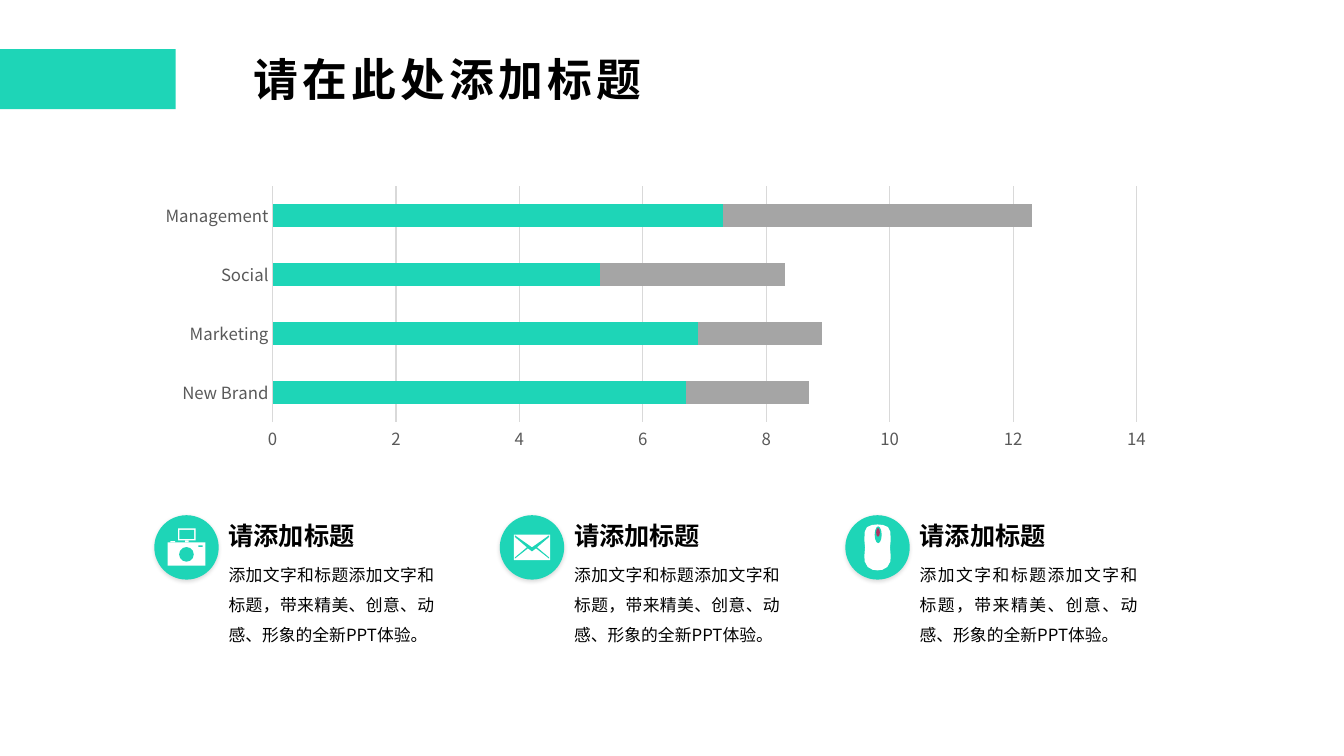
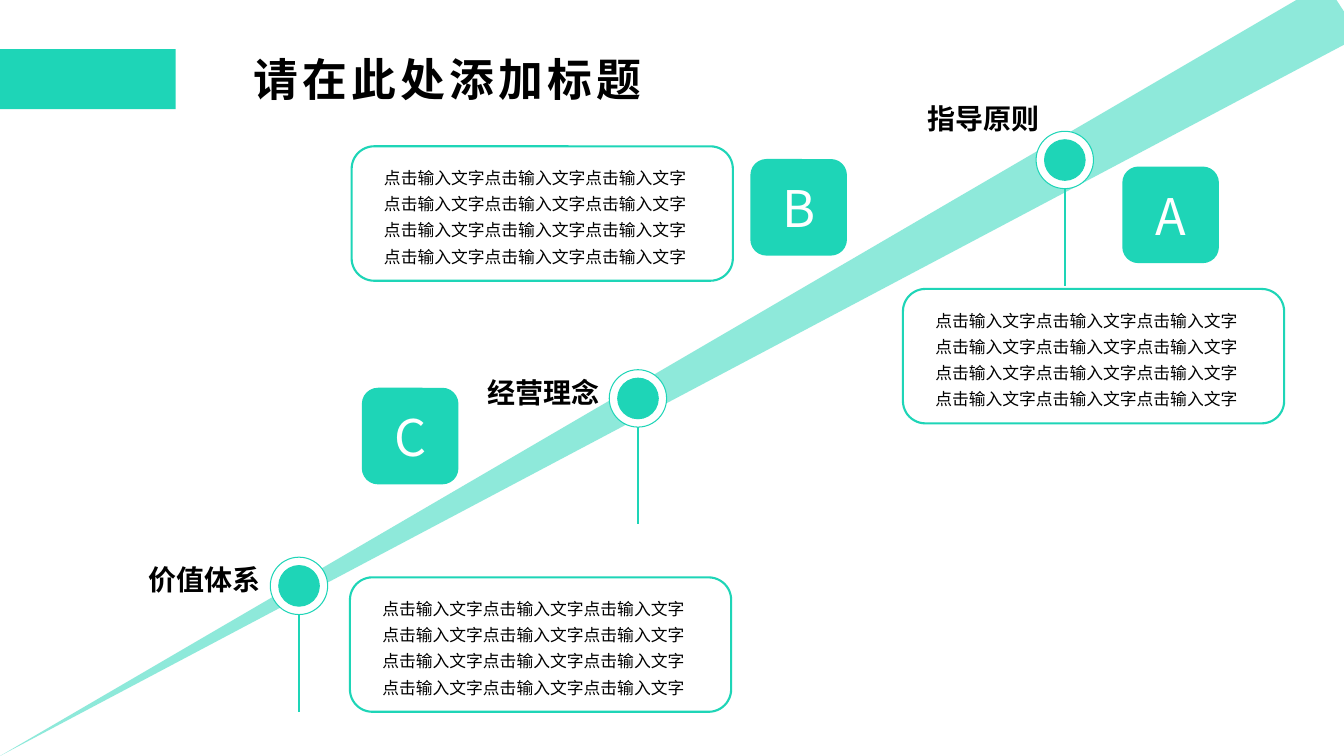
from dataclasses import dataclass

from lxml import etree
from pptx import Presentation, util as u
from pptx.chart import data as chart_data
from pptx.dml import color
from pptx.enum import chart as chart_enum, shapes, text
from pptx.oxml import ns

Pt = u.Pt
KIND = shapes.MSO_SHAPE
ALIGN = text.PP_ALIGN
ANCHOR = text.MSO_ANCHOR


@dataclass(frozen=True)
class Theme:
    accent: str = "1ED5B7"
    berry: str = "B03262"
    white: str = "FFFFFF"
    black: str = "000000"
    grey_bar: str = "A5A5A5"
    grid: str = "D9D9D9"
    axis_text: str = "595959"
    font: str = "Noto Sans CJK SC"
    label_font: str = "Arial"
    title_size: int = 32
    badge_size: int = 36
    label_size: int = 20
    heading_size: int = 18
    body_size: int = 12


THEME = Theme()


def rgb(value):
    return color.RGBColor.from_string(value)


def add_xml(parent, tag, **attributes):
    return etree.SubElement(parent, ns.qn(tag), attributes)


# Basic elements

def paint(shape, fill=None, line=None, weight=0.75):
    shape.shadow.inherit = False
    if fill:
        shape.fill.solid()
        shape.fill.fore_color.rgb = rgb(fill)
    else:
        shape.fill.background()
    if line:
        shape.line.color.rgb = rgb(line)
        shape.line.width = Pt(weight)
    else:
        shape.line.fill.background()
    return shape


def add_block(canvas, kind, left, top, width, height, **look):
    shape = canvas.add_shape(kind, Pt(left), Pt(top), Pt(width), Pt(height))
    return paint(shape, **look)


def add_disc(canvas, x, y, diameter, **look):
    return add_block(canvas, KIND.OVAL, x - diameter / 2, y - diameter / 2,
                     diameter, diameter, **look)


def add_outline(canvas, points, fill):
    corners = [(Pt(x), Pt(y)) for x, y in points]
    builder = canvas.build_freeform(*corners[0])
    builder.add_line_segments(corners[1:], close=True)
    return paint(builder.convert_to_shape(), fill)


def write(shape, words, size, ink=THEME.black, font=THEME.font, bold=False,
          align=ALIGN.LEFT, anchor=ANCHOR.TOP, leading=None, tracking=None):
    frame = shape.text_frame
    frame.text = words
    frame.vertical_anchor = anchor
    para = frame.paragraphs[0]
    para.alignment = align
    if leading:
        para.line_spacing = leading
    span = para.runs[0]
    span.font.size = Pt(size)
    span.font.bold = bold
    span.font.name = font
    span.font.color.rgb = rgb(ink)
    properties = span._r.get_or_add_rPr()
    add_xml(properties, "a:ea", typeface=THEME.font)
    if tracking:
        properties.set("spc", str(tracking * 100))


def add_words(page, left, top, width, height, words, size, wrap=True, **style):
    box = page.shapes.add_textbox(Pt(left), Pt(top), Pt(width), Pt(height))
    write(box, words, size, **style)
    box.text_frame.word_wrap = wrap
    box.text_frame.auto_size = text.MSO_AUTO_SIZE.SHAPE_TO_FIT_TEXT


def add_page(deck, title):
    page = deck.slides.add_slide(deck.slide_layouts[6])
    add_block(page.shapes, KIND.RECTANGLE, 0, 35, 125.5, 43, fill=THEME.accent)
    box = page.shapes.add_textbox(Pt(174), Pt(34), Pt(355), Pt(44))
    box.text_frame.word_wrap = True
    write(box, title, THEME.title_size, bold=True, anchor=ANCHOR.MIDDLE, tracking=3)
    return page


# Icons, drawn around a centre point

def add_mirrored(canvas, x, y, half, fill):
    left_half = [(-dx, dy) for dx, dy in reversed(half)]
    add_outline(canvas, [(x + dx, y + dy) for dx, dy in half + left_half], fill)


def draw_camera(canvas, x, y):
    parts = [
        (-13.5, -3.5, 27, 16.5, THEME.white),   # body
        (-11.5, -4.5, 3.5, 1, THEME.white),     # button
        (-6, -13.5, 12.5, 8.5, THEME.white),    # viewfinder
        (-5, -12.5, 10.5, 6.5, THEME.accent),   # viewfinder glass
        (-1, -5, 2.5, 1.5, THEME.white),        # neck
        (8.5, -1.5, 3, 1.2, THEME.accent),      # flash
    ]
    for dx, dy, width, height, fill in parts:
        add_block(canvas, KIND.RECTANGLE, x + dx, y + dy, width, height, fill=fill)
    add_disc(canvas, x, y + 5, 10.5, fill=THEME.accent)


def draw_envelope(canvas, x, y):
    add_block(canvas, KIND.RECTANGLE, x - 13, y - 9.2, 26, 18.4, fill=THEME.white)
    folds = [(0, 0), (12.2, -8.6), (12.2, -7.4), (3.6, 0), (12.2, 7.2),
             (12.2, 8), (2.9, 0.7), (0, 2.9)]
    add_mirrored(canvas, x, y, folds, THEME.accent)


def draw_mouse(canvas, x, y):
    side = [(0, -16.4), (4, -16), (7.5, -14.5), (9.2, -11), (9.4, -5), (8.9, 0),
            (9.4, 6), (9.2, 10), (7, 14), (3.5, 16), (0, 16.4)]
    add_mirrored(canvas, x, y, side, THEME.white)
    add_block(canvas, KIND.OVAL, x - 2, y - 15, 5, 12, fill=THEME.accent)
    add_block(canvas, KIND.OVAL, x - 0.9, y - 13.7, 2.6, 6, fill=THEME.berry)


def add_icon(page, x, y, draw):
    canvas = page.shapes.add_group_shape().shapes
    disc = add_disc(canvas, x, y, 46, fill=THEME.accent)
    effects = disc._element.spPr.find(ns.qn("a:effectLst"))
    shadow = add_xml(effects, "a:outerShdw", blurRad=str(Pt(3)), dist=str(Pt(1)),
                     dir="5400000", algn="t", rotWithShape="0")
    tint = add_xml(shadow, "a:srgbClr", val=THEME.black)
    add_xml(tint, "a:alpha", val="15000")
    draw(canvas, x, y)


# Chart page

def style_axis(axis):
    axis.major_tick_mark = chart_enum.XL_TICK_MARK.NONE
    axis.minor_tick_mark = chart_enum.XL_TICK_MARK.NONE
    font = axis.tick_labels.font
    font.size = Pt(THEME.body_size)
    font.name = THEME.font
    font.color.rgb = rgb(THEME.axis_text)


def add_bars(page):
    data = chart_data.CategoryChartData()
    data.categories = ["New Brand", "Marketing", "Social", "Management"]
    rows = [("Series 1", (4.3, 2.5, 3.5, 4.5), THEME.accent),
            ("Series 2", (2.4, 4.4, 1.8, 2.8), THEME.accent),
            ("Series 3", (2, 2, 3, 5), THEME.grey_bar)]
    for name, values, _ in rows:
        data.add_series(name, values)
    chart = page.shapes.add_chart(chart_enum.XL_CHART_TYPE.BAR_STACKED, Pt(103.7),
                                  Pt(129), Pt(729.4), Pt(197.3), data).chart
    chart.has_legend = False
    chart.has_title = False
    chart.font.name = THEME.font
    chart.font.size = Pt(THEME.body_size)
    plot = chart.plots[0]
    plot.vary_by_categories = False
    plot.gap_width = 150
    plot.overlap = 100
    for series, (_, _, fill) in zip(plot.series, rows):
        series.format.fill.solid()
        series.format.fill.fore_color.rgb = rgb(fill)

    names, scale = chart.category_axis, chart.value_axis
    style_axis(names)
    style_axis(scale)
    scale.minimum_scale, scale.maximum_scale, scale.major_unit = 0, 14, 2
    scale.format.line.fill.background()
    for line in (names.format.line, scale.major_gridlines.format.line):
        line.color.rgb = rgb(THEME.grid)
        line.width = Pt(0.75)


def add_feature(page, left, draw, width):
    add_icon(page, left + 23, 391, draw)
    add_words(page, left + 46, 368, 105, 29, "请添加标题", THEME.heading_size,
              wrap=False, bold=True, font=THEME.label_font)
    add_words(page, left + 46, 392.5, width, 72,
              "添加文字和标题添加文字和标题，带来精美、创意、动感、形象的全新PPT体验。",
              THEME.body_size, align=ALIGN.JUSTIFY, leading=1.5)


def build_chart_page(deck, title):
    page = add_page(deck, title)
    add_bars(page)
    features = [(draw_camera, 161.3), (draw_envelope, 161.3), (draw_mouse, 170)]
    for index, (draw, width) in enumerate(features):
        add_feature(page, 110.2 + 246.8 * index, draw, width)


# Roadmap page

def add_ray(page):
    ray = add_outline(page.shapes, [(0, 540), (926, 0), (954.6, 0), (960, 8.2),
                                    (960, 32)], THEME.accent)
    tint = ray._element.spPr.find(ns.qn("a:solidFill"))[0]
    add_xml(tint, "a:alpha", val="50000")


def add_milestone(page, x, y, label, shift_x=0, shift_y=0):
    canvas = page.shapes.add_group_shape().shapes
    add_disc(canvas, x, y, 41, fill=THEME.white, line=THEME.accent)
    add_disc(canvas, x, y, 29, fill=THEME.accent, line=THEME.accent)
    stem = canvas.add_connector(shapes.MSO_CONNECTOR.STRAIGHT, Pt(x), Pt(y + 20.5),
                                Pt(x), Pt(y + 90))
    stem.line.color.rgb = rgb(THEME.accent)
    stem.line.width = Pt(1.5)
    add_xml(stem._element.spPr, "a:effectLst")
    add_words(page, x - 115.5 + shift_x, y - 20.5 + shift_y, 95, 31.5, label,
              THEME.label_size, wrap=False, bold=True, font=THEME.label_font,
              align=ALIGN.RIGHT, anchor=ANCHOR.BOTTOM)


def add_panel(page, left, top):
    panel = add_block(page.shapes, KIND.ROUNDED_RECTANGLE, left, top, 272.3, 96,
                      line=THEME.accent, weight=1.5)
    frame = panel.text_frame
    frame.word_wrap = True
    frame.margin_left, frame.margin_right = Pt(13.3), Pt(28.5)
    frame.margin_top, frame.margin_bottom = Pt(6.3), Pt(0)
    write(panel, "点击输入文字" * 12, THEME.body_size, align=ALIGN.RIGHT, leading=1.3)


def add_badge(page, left, top, letter):
    badge = add_block(page.shapes, KIND.ROUNDED_RECTANGLE, left, top, 69, 69,
                      fill=THEME.accent)
    write(badge, letter, THEME.badge_size, ink=THEME.white, align=ALIGN.CENTER,
          anchor=ANCHOR.MIDDLE)


def build_roadmap_page(deck, title):
    page = add_page(deck, title)
    add_ray(page)
    add_milestone(page, 213.6, 418.5, "价值体系")
    add_milestone(page, 455.7, 284.6, "经营理念")
    add_milestone(page, 760.6, 114.3, "指导原则", shift_x=9.5, shift_y=-25.5)
    for left, top in [(250, 412.4), (251.2, 104.5), (645, 206.4)]:
        add_panel(page, left, top)
    for left, top, letter in [(258.5, 277, "C"), (536, 113.6, "B"), (801.7, 119, "A")]:
        add_badge(page, left, top, letter)


def main():
    deck = Presentation()
    deck.slide_width, deck.slide_height = Pt(960), Pt(540)
    title = "请在此处添加标题"
    build_chart_page(deck, title)
    build_roadmap_page(deck, title)
    deck.save("out.pptx")


if __name__ == "__main__":
    main()
